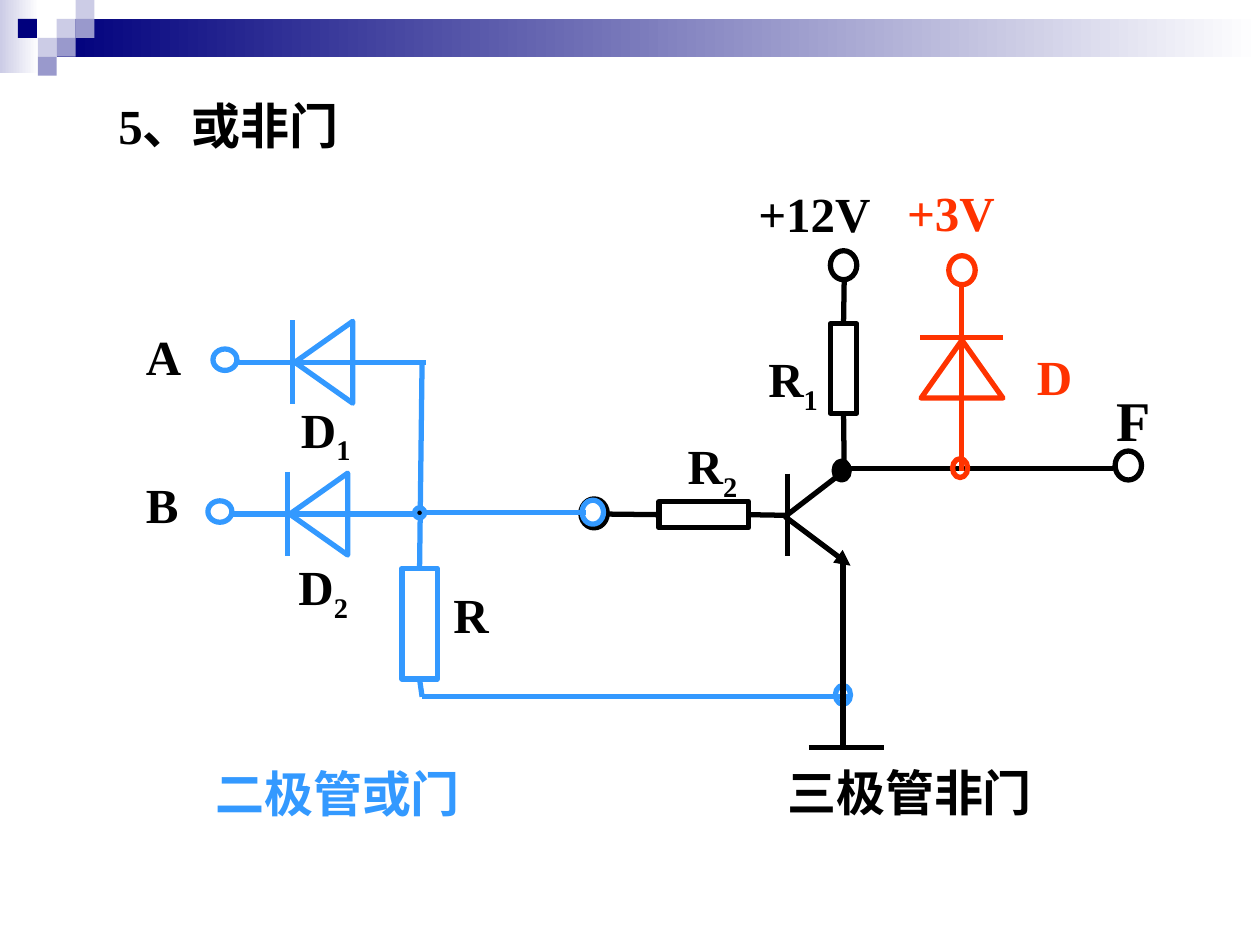
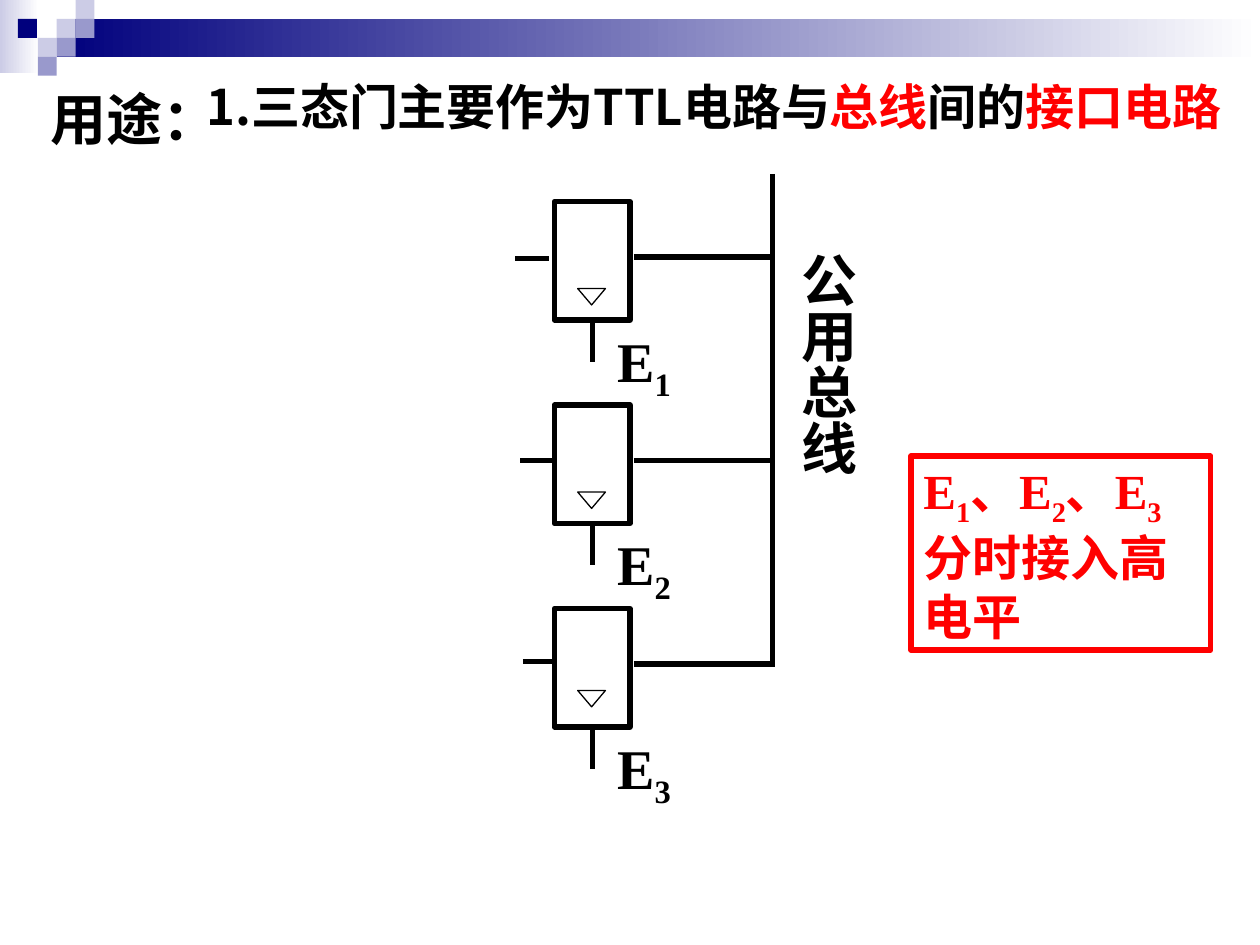
"""Build two slides on logic gates: a diode-transistor NOR gate and a three-state bus."""
from lxml.etree import SubElement
from pptx import Presentation
from pptx.dml.color import RGBColor
from pptx.enum.shapes import MSO_CONNECTOR, MSO_SHAPE
from pptx.enum.text import MSO_ANCHOR, MSO_AUTO_SIZE, PP_ALIGN
from pptx.oxml.ns import qn
from pptx.util import Inches, Pt

WIDE, HIGH = Inches(10), Inches(7.5)
COL, ROW = WIDE / 100, HIGH / 75
HUES = {"ink": "000000", "blue": "3399FF", "flame": "FF3300", "red": "FF0000",
        "navy": "00007D", "pale": "CCCCE6", "mid": "9999CC", "white": "FFFFFF"}
LATIN, HAN = "Times New Roman", "Noto Sans CJK SC"
FRAME = {"word_wrap": True, "auto_size": MSO_AUTO_SIZE.SHAPE_TO_FIT_TEXT}
RECT, OVAL, TRI = MSO_SHAPE.RECTANGLE, MSO_SHAPE.OVAL, MSO_SHAPE.ISOSCELES_TRIANGLE


def hue(name):
    """Return the colour of that name."""
    return RGBColor.from_string(HUES[name])


def grid(x, y, *size):
    """Turn columns and rows into slide lengths."""
    return [round(v * (ROW if i % 2 else COL)) for i, v in enumerate((x, y, *size))]


def style(thing, values):
    """Set each attribute named in a dict."""
    for key, value in values.items():
        setattr(thing, key, value)


def put(slide, kind, box, line=None, fill=None, width=3, turn=0):
    """Add a preset shape with an optional outline and fill."""
    shape = slide.shapes.add_shape(kind, *grid(*box))
    shape.shadow.inherit = False
    shape.rotation = turn
    if fill:
        shape.fill.solid()
        shape.fill.fore_color.rgb = hue(fill)
    else:
        shape.fill.background()
    if line:
        shape.line.color.rgb = hue(line)
        shape.line.width = Pt(width)
    else:
        shape.line.fill.background()
    return shape


def fade(slide, box, start):
    """Add a bar that fades to white."""
    fill = put(slide, RECT, box).fill
    fill.gradient()
    fill.gradient_angle = 0
    for stop, name in zip(fill.gradient_stops, (start, "white")):
        stop.color.rgb = hue(name)


def wire(slide, start, end, color="ink", head=None, tail=None, arrow=False):
    """Add a straight wire; head and tail are (shape, side) joints."""
    link = slide.shapes.add_connector(MSO_CONNECTOR.STRAIGHT, *grid(*start), *grid(*end))
    link.line.color.rgb = hue(color)
    link.line.width = Pt(3)
    if head:
        link.begin_connect(*head)
    if tail:
        link.end_connect(*tail)
    if arrow:
        SubElement(link.line._get_or_add_ln(), qn("a:tailEnd"), type="triangle")
    SubElement(link.element.spPr, qn("a:effectLst"))
    return link


def write(shape, parts, size, face=LATIN):
    """Fill a shape with (text, colour) parts, where _ lowers the next letter."""
    frame = shape.text_frame
    style(frame, FRAME)
    para = frame.paragraphs[0]
    para.alignment = PP_ALIGN.LEFT
    gap = SubElement(para._p.get_or_add_pPr(), qn("a:spcBef"))
    SubElement(gap, qn("a:spcPct"), val="50000")
    for text, color in parts:
        first, *rest = text.split("_")
        bits = [(first, False)]
        for bit in rest:
            bits += [(bit[0], True), (bit[1:], False)]
        for bit, low in bits:
            if bit:
                run = para.add_run()
                run.text = bit
                style(run.font, {"size": Pt(size), "bold": True, "name": face})
                run.font.color.rgb = hue(color)
                mark = run._r.get_or_add_rPr()
                SubElement(mark, qn("a:ea"), typeface=HAN)
                if low:
                    mark.set("baseline", "-25000")


def label(slide, text, box, color="ink", size=28):
    """Add a text box in one colour."""
    shape = slide.shapes.add_textbox(*grid(*box))
    write(shape, [(text, color)], size)
    return shape


def page(deck):
    """Add a blank slide with the band and its squares."""
    slide = deck.slides.add_slide(deck.slide_layouts[6])
    fade(slide, (0, 0, 3.1, 5.8), "pale")
    fade(slide, (4.5, 1.5, 95.5, 3), "navy")
    for x, y, name in ((3, 1, "pale"), (4, 0, "pale"), (4, 1, "mid"), (2, 2, "pale"),
                       (0.95, 1, "navy"), (3, 2, "mid"), (2, 3, "mid")):
        put(slide, RECT, (x * 1.5, y * 1.5, 1.5, 1.5), fill=name)
    return slide


def diode(slide, x, y):
    """Add an input ring, its lead and a diode that points left."""
    wire(slide, (x + 6.3, y - 2.3), (x + 6.3, y + 4.4), "blue")
    put(slide, TRI, (x + 5.55, y - 1.25, 6.5, 4.6), "blue", turn=270)
    wire(slide, (x + 1.9, y + 1.05), (x + 16.9, y + 1.05), "blue")
    put(slide, OVAL, (x, y, 1.9, 1.7), "blue")


def clamp(slide):
    """Add the diode to the +3V supply."""
    wire(slide, (79.6, 26.8), (73, 26.8), "flame")
    put(slide, TRI, (73.1, 27, 6.5, 4.6), "flame")
    wire(slide, (76.3, 22.4), (76.3, 37.4), "flame")
    put(slide, OVAL, (75.6, 36.4, 1.2, 1.5), "flame")
    put(slide, OVAL, (75.3, 20.3, 2.1, 2.3), "flame")


def switch(slide):
    """Add the transistor, its resistors and its terminals."""
    wire(slide, (62.5, 37.6), (62.5, 44.1))
    wire(slide, (62.3, 41), (67.5, 44.9), arrow=True)
    wire(slide, (62.3, 41), (67.5, 37))
    put(slide, OVAL, (66.2, 36.6, 1.2, 1.5), "ink", "ink")
    wire(slide, (66.9, 37.2), (88.3, 37.2))
    clamp(slide)
    wire(slide, (64.2, 59.3), (70.2, 59.3))
    for x, y in ((46.1, 39.6), (88.5, 35.8), (65.9, 19.9)):
        put(slide, OVAL, (x, y, 2.1, 2.3), "ink")
    load = put(slide, RECT, (65.9, 25.7, 2.1, 7.1), "ink")
    wire(slide, (67, 32.8), (67, 37.2), head=(load, 2))
    wire(slide, (67, 25.7), (67, 22.2), head=(load, 0))
    base = put(slide, RECT, (52.3, 39.8, 7.1, 2.1), "ink")
    wire(slide, (52.3, 40.8), (48.2, 40.8), head=(base, 1))
    wire(slide, (62.3, 40.9), (59.4, 40.9), tail=(base, 3))


def nor_gate(deck):
    """Draw the NOR gate slide."""
    slide = page(deck)
    switch(slide)
    diode(slide, 16.9, 27.7)
    wire(slide, (32.9, 40.7), (46.5, 40.7), "blue")
    diode(slide, 16.5, 39.75)
    pull = put(slide, RECT, (31.9, 45.1, 2.8, 8.8), "blue")
    wire(slide, (33.5, 45.1), (33.5, 28.6), "blue", head=(pull, 0))
    wire(slide, (33.5, 55.3), (33.5, 53.9), "blue", tail=(pull, 2))
    put(slide, OVAL, (32.9, 40.3, 0.8, 0.8), "blue", "ink")
    put(slide, OVAL, (46.2, 39.7, 1.7, 1.9), "blue")
    wire(slide, (33.5, 55.3), (67.3, 55.3), "blue")
    put(slide, OVAL, (66.3, 54.4, 1.2, 1.5), "blue")
    wire(slide, (66.9, 44.3), (66.9, 59.3))
    for text, x, y, wide, color in (
            ("R_1", 60, 27.2, 6.5, "ink"), ("D", 81.3, 27, 5.2, "flame"),
            ("R_2", 53.6, 34.1, 6.5, "ink"), ("+12V", 59.2, 14.1, 12.5, "ink"),
            ("+3V", 71, 14, 12.5, "flame"), ("三极管非门", 61.5, 60, 26.7, "ink"),
            ("D_1", 22.9, 31.2, 6.9, "ink"), ("D_2", 22.7, 43.7, 6.9, "ink"),
            ("A", 10.6, 25.4, 6, "ink"), ("B", 10.6, 37.2, 6, "ink"),
            ("R", 35, 45.9, 6.3, "ink"), ("二极管或门", 16.1, 60.1, 26.2, "blue"),
            ("5、或非门", 8.4, 7.1, 36.2, "ink")):
        label(slide, text, (x, y, wide, 5.7), color)
    label(slide, "F", (87.6, 30.1, 6.6, 6.3), size=32)


def buffer(slide, name, top, left, drop, mark):
    """Add a three-state gate with its input, output and enable wires."""
    gate = put(slide, RECT, (44, top, 6, 9.4), "ink")
    wire(slide, (left, top + drop), (left + 2.7, top + drop))
    wire(slide, (50.3, top + 4.4), (61.5, top + 4.4))
    wire(slide, (47, top + 9.4), (47, top + 12.7), head=(gate, 2))
    label(slide, name, (48, top + 9.4, 6.9, 6.3), size=32)
    put(slide, TRI, (45.85, top + mark, 2.2, 1.3), "ink", "white", 0.75, 180)


def bus(deck):
    """Draw the shared bus slide."""
    slide = page(deck)
    head = slide.shapes.add_textbox(*grid(15.4, 5.6, 84.6, 5.7))
    write(head, [("1.三态门主要作为TTL电路与", "ink"), ("总线", "red"),
                 ("间的", "ink"), ("接口电路", "red")], 28, HAN)
    label(slide, "用途：", (3, 6.2, 12.1, 6.3), size=32)
    note = put(slide, RECT, (72.3, 36.2, 23.8, 15.4), "red")
    note.text_frame.vertical_anchor = MSO_ANCHOR.MIDDLE
    write(note, [("E_1、E_2、E_3分时接入高电平", "red")], 28)
    inputs = ((40.9, 4.5, 6.9), (41.3, 4.4, 6.9), (41.5, 4.2, 6.5))
    for i, spots in enumerate(inputs):
        buffer(slide, f"E_{i + 1}", 16 + 16.15 * i, *spots)
    wire(slide, (61.3, 13.8), (61.3, 52.9))
    title = label(slide, "公用总线", (61.5, 19, 7.3, 20.8), size=32)
    title.element.find(".//" + qn("a:bodyPr")).set("vert", "eaVert")


def main():
    """Build and save the deck."""
    deck = Presentation()
    style(deck, {"slide_width": WIDE, "slide_height": HIGH})
    nor_gate(deck)
    bus(deck)
    deck.save("out.pptx")


if __name__ == "__main__":
    main()
